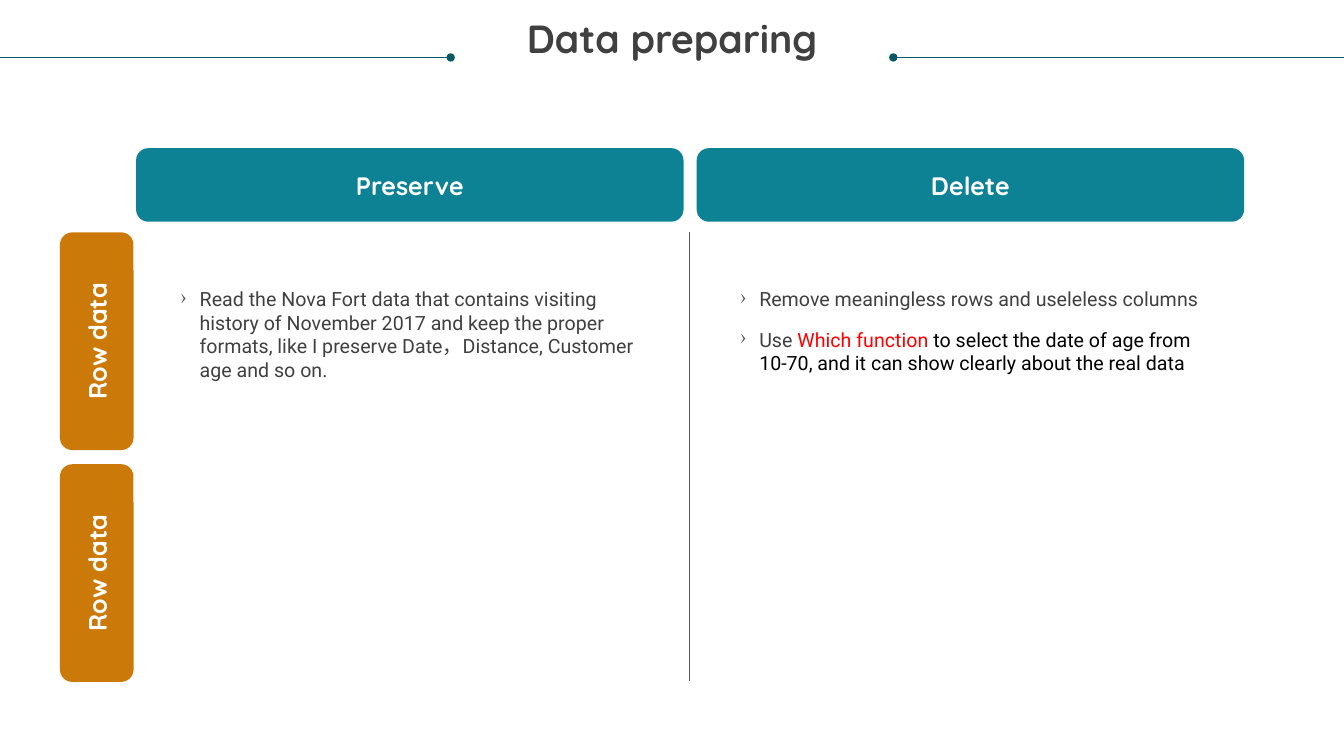
from dataclasses import dataclass

from lxml import etree
from pptx import Presentation
from pptx.dml.color import RGBColor
from pptx.enum import shapes, text
from pptx.oxml.ns import qn
from pptx.util import Inches, Pt

TEAL = RGBColor(0x0D, 0x82, 0x95)
DARK_TEAL = RGBColor(0x08, 0x57, 0x64)
ORANGE = RGBColor(0xCB, 0x7A, 0x09)
GREY = RGBColor(0x58, 0x58, 0x58)
TEXT_GREY = RGBColor(0x40, 0x40, 0x40)
RED = RGBColor(0xFF, 0x00, 0x00)
BLACK = RGBColor(0x00, 0x00, 0x00)
WHITE = RGBColor(0xFF, 0xFF, 0xFF)

HEADING_FONT = "Quicksand"
BODY_FONT = "Roboto"
LABEL_HEIGHT = 0.73


@dataclass
class Label:
    caption: str
    left: float
    top: float
    width: float
    fill: RGBColor
    rotation: int = 0


@dataclass
class Span:
    words: str
    color: RGBColor = TEXT_GREY


@dataclass
class BulletList:
    left: float
    height: float
    items: list[list[Span]]


def style_font(font, name: str, size: int, color: RGBColor, bold: bool = False) -> None:
    font.name = name
    font.size = Pt(size)
    font.bold = bold
    font.color.rgb = color


def clear_margins(frame) -> None:
    frame.margin_left = frame.margin_right = 0
    frame.margin_top = frame.margin_bottom = 0


def draw_line(page, start: tuple[float, float], end: tuple[float, float],
              color: RGBColor, dot_at_start: bool = False) -> None:
    line = page.shapes.add_connector(
        shapes.MSO_CONNECTOR.STRAIGHT, *map(Inches, start + end))
    line.line.color.rgb = color
    line.line.width = Pt(0.5)
    if dot_at_start:
        etree.SubElement(line.line._get_or_add_ln(), qn("a:headEnd"), type="oval")
    etree.SubElement(line._element.spPr, qn("a:effectLst"))


def draw_label(page, label: Label) -> None:
    box = page.shapes.add_shape(
        shapes.MSO_SHAPE.ROUNDED_RECTANGLE, Inches(label.left), Inches(label.top),
        Inches(label.width), Inches(LABEL_HEIGHT))
    box.rotation = label.rotation
    box.shadow.inherit = False
    box.fill.solid()
    box.fill.fore_color.rgb = label.fill
    box.line.fill.background()
    frame = box.text_frame
    frame.vertical_anchor = text.MSO_ANCHOR.MIDDLE
    para = frame.paragraphs[0]
    para.text = label.caption
    para.alignment = text.PP_ALIGN.CENTER
    style_font(para.font, HEADING_FONT, 18, WHITE, bold=True)


def add_bullet(para) -> None:
    properties = para._p.get_or_add_pPr()
    properties.set("marL", str(Inches(0.19)))
    properties.set("indent", str(-Inches(0.19)))
    bullet_color = etree.SubElement(properties, qn("a:buClr"))
    etree.SubElement(bullet_color, qn("a:srgbClr"), val=str(GREY))
    etree.SubElement(properties, qn("a:buChar"), char="›")


def draw_bullets(page, bullets: BulletList) -> None:
    box = page.shapes.add_textbox(
        Inches(bullets.left), Inches(2.85), Inches(4.55), Inches(bullets.height))
    frame = box.text_frame
    frame.word_wrap = True
    clear_margins(frame)
    for index, item in enumerate(bullets.items):
        para = frame.add_paragraph() if index else frame.paragraphs[0]
        para.space_before = Pt(12)
        add_bullet(para)
        for span in item:
            run = para.add_run()
            run.text = span.words
            style_font(run.font, BODY_FONT, 14, span.color)


deck = Presentation()
deck.slide_width = Inches(13.33)
deck.slide_height = Inches(7.5)
page = deck.slides.add_slide(deck.slide_layouts[5])

# Title between two dotted lines
title = page.shapes.title
title.left, title.top = Inches(0.25), Inches(0.19)
title.width, title.height = Inches(12.83), Inches(0.73)
frame = title.text_frame
frame.auto_size = text.MSO_AUTO_SIZE.NONE
frame.vertical_anchor = text.MSO_ANCHOR.TOP
clear_margins(frame)
heading = frame.paragraphs[0]
heading.text = "Data preparing"
heading.alignment = text.PP_ALIGN.CENTER
heading.line_spacing = 0.9
style_font(heading.font, HEADING_FONT, 28, TEXT_GREY, bold=True)

for inner, outer in ((4.47, 0), (8.86, 13.33)):
    draw_line(page, (inner, 0.57), (outer, 0.57), DARK_TEAL, dot_at_start=True)

# Column and row labels
labels = [Label(caption, left, 1.47, 5.43, TEAL)
          for caption, left in (("Preserve", 1.35), ("Delete", 6.91))]
labels += [Label("Row data", -0.12, top, 2.16, ORANGE, rotation=270)
           for top in (3.02, 5.32)]
for label in labels:
    draw_label(page, label)

# Column divider
draw_line(page, (6.84, 2.3), (6.84, 6.76), GREY)

# Column contents
columns = [
    BulletList(1.79, 0.71, [
        [Span("Read the Nova Fort data that contains visiting history of November 2017 "
              "and keep the proper formats, like I preserve Date，Distance, "
              "Customer age and so on.")],
    ]),
    BulletList(7.34, 0.88, [
        [Span("Remove meaningless rows and useleless columns")],
        [Span("Use "), Span("Which function", RED),
         Span(" to select the date of age from 10-70, and it can show clearly "
              "about the real data", BLACK)],
    ]),
]
for column in columns:
    draw_bullets(page, column)

deck.save("out.pptx")
